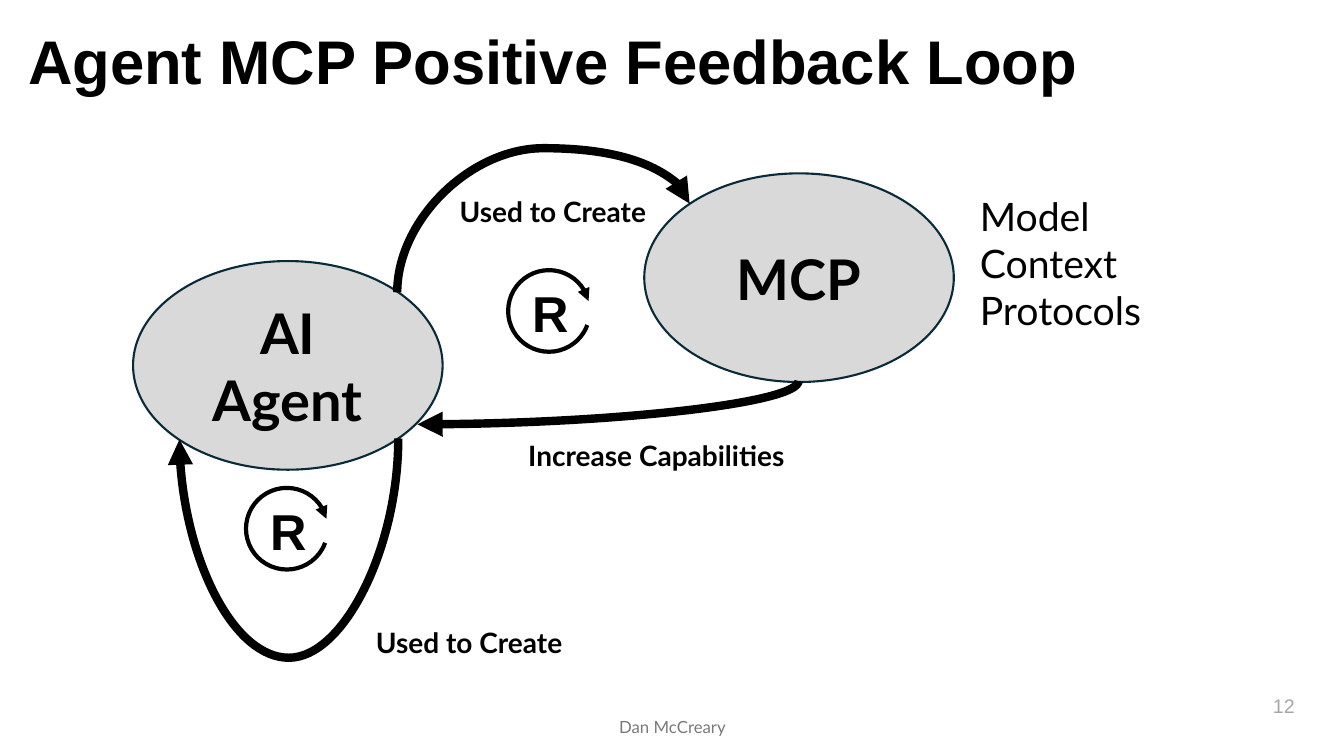
import lxml.etree
import pptx
import pptx.dml.color
import pptx.enum.shapes
import pptx.enum.text
import pptx.oxml.ns
import pptx.util

EMU_PER_PX = 9144
SHAPE = pptx.enum.shapes.MSO_SHAPE
ALIGN = pptx.enum.text.PP_ALIGN
ANCHOR = pptx.enum.text.MSO_ANCHOR
BLACK = "000000"
qn = pptx.oxml.ns.qn


def px(n):
    return pptx.util.Emu(round(n * EMU_PER_PX))


def rgb(color):
    return pptx.dml.color.RGBColor.from_string(color)


def write(sp, text, size, font="Lato", color=BLACK, bold=False,
          align=ALIGN.LEFT, anchor=ANCHOR.TOP, wrap=True, spacing=None):
    tf = sp.text_frame
    tf.text = text
    tf.word_wrap = wrap
    tf.vertical_anchor = anchor
    for p in tf.paragraphs:
        p.alignment = align
        if spacing:
            p.line_spacing = spacing
        for r in p.runs:
            r.font.size = pptx.util.Pt(size)
            r.font.name = font
            r.font.bold = bold
            r.font.color.rgb = rgb(color)


def add_text(shapes, box, text, size, **style):
    sp = shapes.add_textbox(*map(px, box))
    write(sp, text, size, **style)


def add_label(shapes, x, y, w, text):
    add_text(shapes, (x, y, w, 44), text, 20, bold=True, wrap=False)


def set_line(sp, color, width):
    sp.line.color.rgb = rgb(color)
    sp.line.width = pptx.util.Pt(width)


def add_arrowhead(sp):
    ln = sp.line._get_or_add_ln()
    lxml.etree.SubElement(ln, qn("a:tailEnd"), type="triangle")


def add_node(shapes, x, y, text):
    sp = shapes.add_shape(SHAPE.OVAL, px(x), px(y), px(307), px(207))
    sp.shadow.inherit = False
    sp.fill.solid()
    sp.fill.fore_color.rgb = rgb("D9D9D9")
    set_line(sp, "092A39", 1.5)
    write(sp, text, 40, bold=True, align=ALIGN.CENTER, anchor=ANCHOR.MIDDLE)


def add_loop_mark(shapes, x, y):
    grp = shapes.add_group_shape()
    add_text(grp.shapes, (x + 14, y + 7, 57, 71), "R", 36,
             font="Arial", bold=True, wrap=False)
    sp = grp.shapes.add_shape(SHAPE.ARC, px(x), px(y), px(81), px(81))
    sp.adjustments[0] = 12.1
    sp.adjustments[1] = 207.53
    sp.shadow.inherit = False
    sp.fill.background()
    set_line(sp, BLACK, 3)
    add_arrowhead(sp)


def add_curve(shapes, start, end, bend_y=None):
    (x1, y1), (x2, y2) = start, end
    w, h = abs(y2 - y1), abs(x2 - x1)
    cxn = shapes.add_connector(pptx.enum.shapes.MSO_CONNECTOR.CURVE, 0, 0, 0, 0)
    cxn.left, cxn.top = px((x1 + x2 - w) / 2), px((y1 + y2 - h) / 2)
    cxn.width, cxn.height = px(w), px(h)
    sp_pr = cxn._element.spPr
    xfrm = sp_pr.find(qn("a:xfrm"))
    xfrm.set("rot", "5400000")
    if x2 > x1:
        xfrm.set("flipH", "1")
        xfrm.set("flipV", "1")
    geom = sp_pr.find(qn("a:prstGeom"))
    if bend_y is None:
        geom.set("prst", "curvedConnector2")
    else:
        bend = round((bend_y - y1) / (y2 - y1) * 100000)
        lxml.etree.SubElement(geom.find(qn("a:avLst")), qn("a:gd"),
                              name="adj1", fmla=f"val {bend}")
    set_line(cxn, BLACK, 6)
    add_arrowhead(cxn)
    lxml.etree.SubElement(sp_pr, qn("a:effectLst"))


def main():
    prs = pptx.Presentation()
    prs.slide_width, prs.slide_height = px(1333), px(750)
    s = prs.slides.add_slide(prs.slide_layouts[6])
    shapes = s.shapes

    add_text(shapes, (18, 9, 1150, 109), "Agent MCP Positive Feedback Loop", 44,
             font="Arial", bold=True, anchor=ANCHOR.MIDDLE, spacing=0.9)
    add_text(shapes, (994, 680, 300, 40), "12", 14, font="Arial",
             color="A6A6A6", align=ALIGN.RIGHT, anchor=ANCHOR.MIDDLE)
    add_text(shapes, (442, 701, 450, 40), "Dan McCreary", 12,
             color="797979", align=ALIGN.CENTER, anchor=ANCHOR.MIDDLE)

    add_node(shapes, 132, 259, "AI Agent")
    add_node(shapes, 639, 172, "MCP")

    add_curve(shapes, (395, 435), (178, 436), 656)
    add_curve(shapes, (792, 378), (414, 421))
    add_curve(shapes, (394, 290), (684, 202), 147)

    add_loop_mark(shapes, 244, 484)
    add_loop_mark(shapes, 504, 268)

    add_label(shapes, 363, 616, 210, "Used to Create")
    add_label(shapes, 446, 188, 210, "Used to Create")
    add_label(shapes, 514, 430, 292, "Increase Capabilities")
    add_text(shapes, (962, 186, 183, 151), "Model\nContext\nProtocols", 28,
             wrap=False)

    prs.save("out.pptx")


if __name__ == "__main__":
    main()
